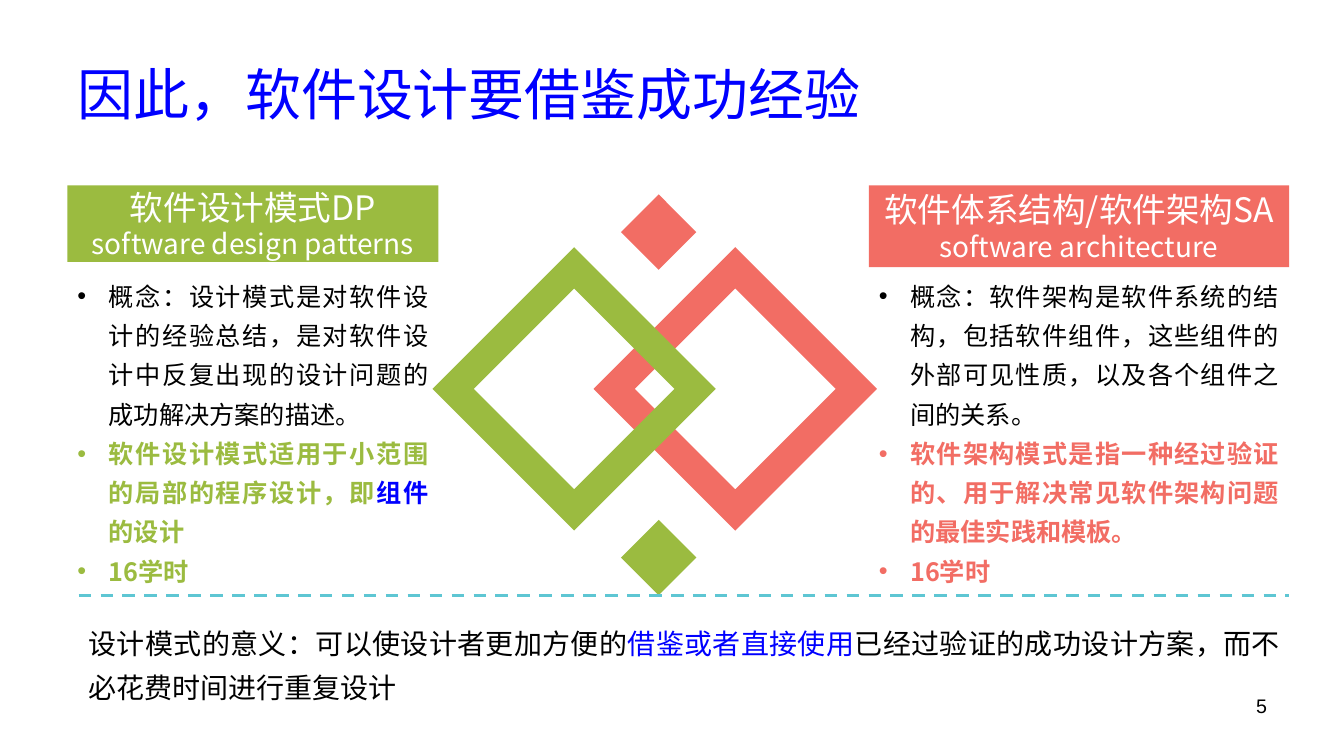
from lxml.etree import SubElement
from pptx import Presentation
from pptx.dml.color import RGBColor
from pptx.enum.dml import MSO_LINE
from pptx.enum.shapes import MSO_CONNECTOR, MSO_SHAPE
from pptx.enum.text import MSO_ANCHOR, PP_ALIGN
from pptx.oxml.ns import qn
from pptx.util import Cm, Pt

CJK_FONT = "Noto Sans CJK SC"
GREEN, CORAL, BLUE = "9BBB40", "F26D64", "0000FF"
TEAL, BLACK, WHITE = "5EC6D3", "000000", "FFFFFF"


def colour(hex_value):
    return RGBColor.from_string(hex_value)


def paint(shape, fill):
    shape.shadow.inherit = False
    shape.fill.solid()
    shape.fill.fore_color.rgb = colour(fill)
    shape.line.fill.background()


def add_run(paragraph, text, size, hex_value, bold=False, font=CJK_FONT):
    run = paragraph.add_run()
    run.text = text
    run.font.size = Pt(size)
    run.font.bold = bold
    run.font.name = font
    run.font.color.rgb = colour(hex_value)
    SubElement(run.font._element, qn("a:ea"), typeface=font)


def add_bullet(paragraph):
    properties = paragraph._p.get_or_add_pPr()
    properties.set("marL", str(Cm(0.79)))
    properties.set("indent", str(-Cm(0.79)))
    SubElement(properties, qn("a:buFont"), typeface="Arial")
    SubElement(properties, qn("a:buChar"), char="•")


def add_text(slide, left, top, width, height, paragraphs, size, align=PP_ALIGN.LEFT,
             spacing=1.0, bulleted=False, anchor=MSO_ANCHOR.TOP, font=CJK_FONT):
    """Each paragraph is a list of (text, colour, bold) runs."""
    frame = slide.shapes.add_textbox(Cm(left), Cm(top), Cm(width), Cm(height)).text_frame
    frame.word_wrap = True
    frame.vertical_anchor = anchor
    for index, runs in enumerate(paragraphs):
        paragraph = frame.add_paragraph() if index else frame.paragraphs[0]
        paragraph.alignment = align
        paragraph.line_spacing = spacing
        if bulleted:
            add_bullet(paragraph)
        for text, hex_value, bold in runs:
            add_run(paragraph, text, size, hex_value, bold, font)


def add_header(slide, left, width, height, fill, chinese, english):
    header = slide.shapes.add_shape(MSO_SHAPE.RECTANGLE, Cm(left), Cm(4.67), Cm(width), Cm(height))
    paint(header, fill)
    frame = header.text_frame
    frame.word_wrap = True
    frame.vertical_anchor = MSO_ANCHOR.MIDDLE
    frame.margin_left = frame.margin_right = frame.margin_top = frame.margin_bottom = 0
    for paragraph, text, size in ((frame.paragraphs[0], chinese, 24),
                                  (frame.add_paragraph(), english, 20)):
        paragraph.alignment = PP_ALIGN.CENTER
        add_run(paragraph, text, size, WHITE)


def add_topic(slide, left, width, header_height, fill, chinese, english, points):
    add_text(slide, left, 6.73, width, 8.26, points, 18, PP_ALIGN.JUSTIFY, 1.3, bulleted=True)
    add_header(slide, left, width, header_height, fill, chinese, english)


def diamond_corners(x, y, reach):
    return [(Cm(x), Cm(y - reach)), (Cm(x + reach), Cm(y)),
            (Cm(x), Cm(y + reach)), (Cm(x - reach), Cm(y))]


def add_diamond_ring(slide, x, y, fill):
    inner = diamond_corners(x, y, 2.53)
    outer = diamond_corners(x, y, 3.57)[::-1]
    builder = slide.shapes.build_freeform(*inner[0], scale=1.0)
    builder.add_line_segments(inner[1:], close=True)
    builder.move_to(*outer[0])
    builder.add_line_segments(outer[1:], close=True)
    paint(builder.convert_to_shape(), fill)


def add_small_diamond(slide, x, y, fill):
    side = 1.9
    diamond = slide.shapes.add_shape(MSO_SHAPE.DIAMOND, Cm(x - side / 2), Cm(y - side / 2),
                                     Cm(side), Cm(side))
    paint(diamond, fill)


def add_emblem(slide):
    x, y = 16.5, 9.8
    for fill, shift, small_y in ((CORAL, 2.03, 5.85), (GREEN, -2.03, 14.05)):
        add_diamond_ring(slide, x + shift, y, fill)
        add_small_diamond(slide, x + 0.1, small_y, fill)


def add_divider(slide):
    divider = slide.shapes.add_connector(MSO_CONNECTOR.STRAIGHT, Cm(1.98), Cm(15.01),
                                         Cm(32.49), Cm(15.01))
    divider.line.color.rgb = colour(TEAL)
    divider.line.width = Pt(2.25)
    divider.line.dash_style = MSO_LINE.DASH
    SubElement(divider._element.spPr, qn("a:effectLst"))


def main():
    presentation = Presentation()
    presentation.slide_width, presentation.slide_height = Cm(33.87), Cm(19.05)
    slide = presentation.slides.add_slide(presentation.slide_layouts[6])

    add_emblem(slide)
    add_topic(slide, 1.7, 9.35, 1.93, GREEN, "软件设计模式DP", "software design patterns", [
        [("概念：设计模式是对软件设计的经验总结，是对软件设计中反复出现的设计问题的成功解决方案的描述。",
          BLACK, False)],
        [("软件设计模式适用于小范围的局部的程序设计，即", GREEN, True),
         ("组件", BLUE, True), ("的设计", GREEN, True)],
        [("16学时", GREEN, True)],
    ])
    add_topic(slide, 21.9, 10.59, 2.06, CORAL, "软件体系结构/软件架构SA", "software architecture", [
        [("概念：软件架构是软件系统的结构，包括软件组件，这些组件的外部可见性质，以及各个组件之间的关系。",
          BLACK, False)],
        [("软件架构模式是指一种经过验证的、用于解决常见软件架构问题的最佳实践和模板。", CORAL, True)],
        [("16学时", CORAL, True)],
    ])
    add_text(slide, 1.98, 15.42, 30.53, 2.49, [[
        ("设计模式的意义：可以使设计者更加方便的", BLACK, False),
        ("借鉴或者直接使用", BLUE, False),
        ("已经过验证的成功设计方案，而不必花费时间进行重复设计", BLACK, False),
    ]], 20, PP_ALIGN.JUSTIFY, 1.3)
    add_divider(slide)
    add_text(slide, 1.7, 0.76, 30.48, 3.18, [[("因此，软件设计要借鉴成功经验", BLUE, False)]], 40,
             anchor=MSO_ANCHOR.MIDDLE)
    add_text(slide, 24.28, 17.35, 7.9, 1.32, [[("5", BLACK, False)]], 14, PP_ALIGN.RIGHT,
             font="Arial")
    presentation.save("out.pptx")


if __name__ == "__main__":
    main()
